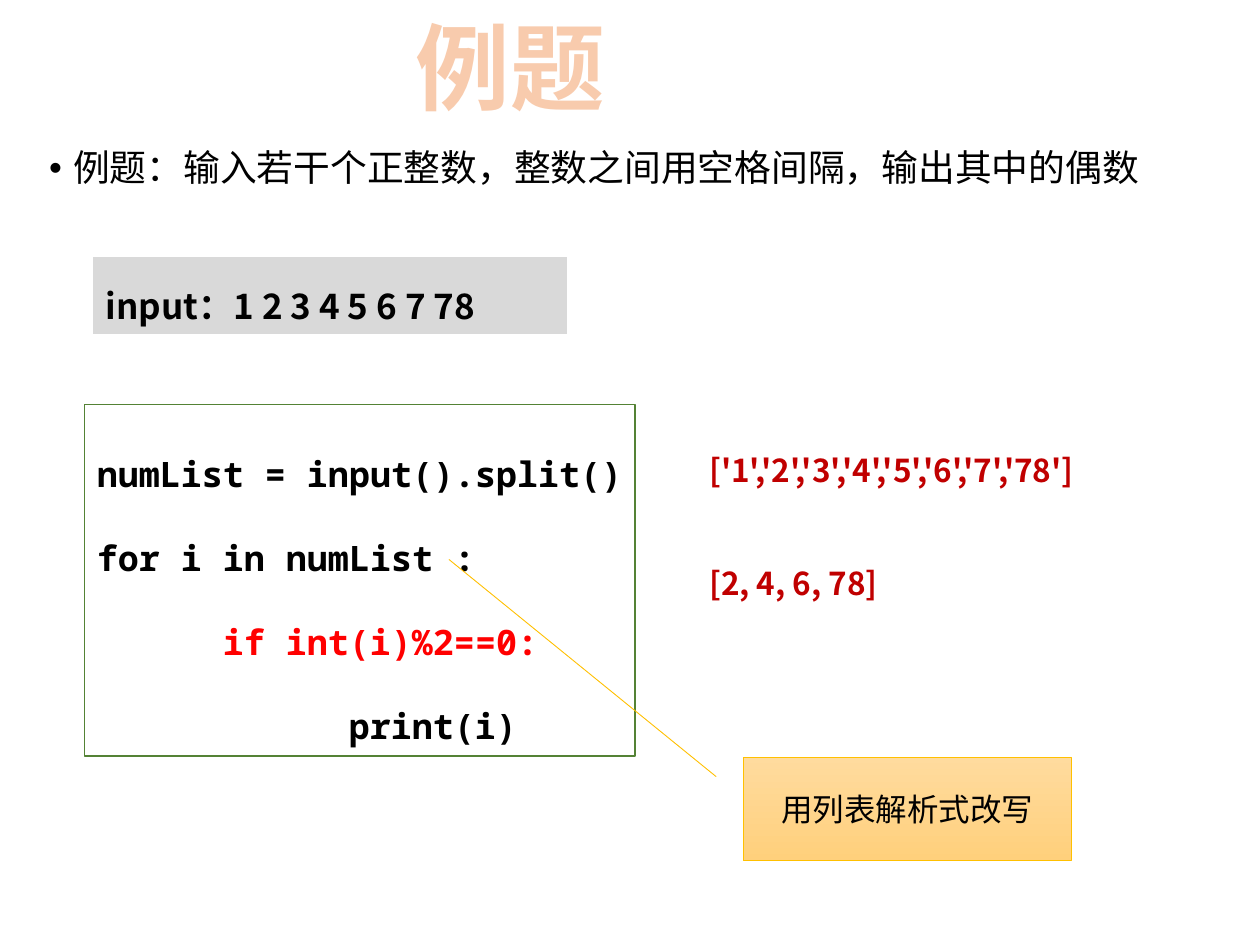
"""Builds a slide with a Python exercise that prints the even numbers of an input line."""
from lxml.etree import SubElement
from pptx import Presentation
from pptx.dml.color import RGBColor
from pptx.enum.shapes import MSO_SHAPE as Shape
from pptx.enum.text import MSO_ANCHOR as Anchor, MSO_AUTO_SIZE as Fit, PP_ALIGN as Align
from pptx.oxml.ns import qn
from pptx.util import Inches, Pt

SANS, MONO = "Noto Sans CJK SC", "Noto Sans Mono"
COLORS = {
    "black": "000000", "red": "FF0000", "dark_red": "C00000", "gray": "D9D9D9",
    "green": "548235", "gold": "FFC000", "peach": "F8CBAD", "orange": "ED7D31",
    "callout_top": "FFDB9E", "callout_bottom": "FFD07C",
}

HEADING = "例题"
TASK = "例题：输入若干个正整数，整数之间用空格间隔，输出其中的偶数"
SAMPLE = "input：1 2 3 4 5 6 7 78"
CODE = [
    (0, "numList = input().split()", "black"),
    (0, "for i in numList :", "black"),
    (1, "if int(i)%2==0:", "red"),
    (2, "print(i)", "black"),
]
RESULTS = ["['1','2','3','4','5','6','7','78']", "[2, 4, 6, 78]"]
HINT = "用列表解析式改写"

PLACES = {
    "heading": (3.19, 0.02, 1.72, 1.01),
    "task": (0.29, 1.14, 9.25, 0.5),
    "sample": (0.74, 2.04, 3.76, 0.61),
    "code": (0.67, 3.21, 4.37, 2.79),
    "results": (5.53, 3.38, 4, 1.46),
    "hint": (5.9, 6.01, 2.6, 0.82),
}
HINT_POINTER = (0.188, -0.083, -1.915, -0.899)
FRAME = {"word_wrap": True, "auto_size": Fit.NONE, "vertical_anchor": Anchor.TOP}


def rgb(name):
    return RGBColor.from_string(COLORS[name])


def apply(target, formats):
    for attribute, value in formats.items():
        setattr(target, attribute, value)


def place(part, name):
    sides = map(Inches, PLACES[name])
    apply(part, dict(zip(("left", "top", "width", "height"), sides)))


def box(slide, name, preset=Shape.RECTANGLE, fill=None, line=None, width=0.75):
    part = slide.shapes.add_shape(preset, *map(Inches, PLACES[name]))
    part.shadow.inherit = False
    if fill:
        part.fill.solid()
        part.fill.fore_color.rgb = rgb(fill)
    else:
        part.fill.background()
    if line:
        part.line.color.rgb = rgb(line)
        part.line.width = Pt(width)
    else:
        part.line.fill.background()
    return part


def write(part, lines, size, color="black", font=SANS, bold=False, frame=None, **layout):
    text = part.text_frame
    apply(text, FRAME | (frame or {}))
    text.text = "\n".join(lines)
    for paragraph in text.paragraphs:
        apply(paragraph, {"alignment": Align.LEFT} | layout)
        run = paragraph.runs[0]
        apply(run.font, {"name": font, "size": Pt(size), "bold": bold})
        run.font.color.rgb = rgb(color)
        SubElement(run.font._element, qn("a:ea"), typeface=font)
    return text.paragraphs


def indent(paragraph, margin, first=0):
    properties = paragraph._p.get_or_add_pPr()
    properties.set("marL", str(Inches(margin)))
    properties.set("indent", str(Inches(first)))


def outline(font, color, width):
    line = SubElement(font._element, qn("a:ln"), w=str(Pt(width)))
    font._element.insert(0, line)
    fill = SubElement(line, qn("a:solidFill"))
    SubElement(fill, qn("a:srgbClr"), val=COLORS[color])


def main():
    deck = Presentation()
    apply(deck, {"slide_width": Inches(10), "slide_height": Inches(7.5)})
    slide = deck.slides.add_slide(deck.slide_layouts[1])
    heading, task = slide.placeholders

    place(task, "task")
    bullet, = write(task, [TASK], 21, line_spacing=0.9, space_before=Pt(7.5))
    indent(bullet, 0.19, -0.19)

    code = box(slide, "code", line="green")
    code_lines = write(code, [line for _, line, _ in CODE], 20, font=MONO, bold=True,
                       frame={"margin_right": Inches(0.02)}, line_spacing=2.0)
    for paragraph, (level, _, color) in zip(code_lines, CODE):
        indent(paragraph, level)
        paragraph.runs[0].font.color.rgb = rgb(color)

    results = slide.shapes.add_textbox(*map(Inches, PLACES["results"]))
    result_lines = write(results, RESULTS, 18, "dark_red", bold=True, line_spacing=1.5)
    result_lines[1].space_before = Pt(32)

    sample = box(slide, "sample", fill="gray")
    write(sample, [SAMPLE], 20, bold=True, line_spacing=1.5)

    place(heading, "heading")
    title, = write(heading, [HEADING], 54, "peach", bold=True,
                   frame={"word_wrap": False}, alignment=Align.CENTER)
    outline(title.runs[0].font, "orange", 1.75)

    hint = box(slide, "hint", Shape.LINE_CALLOUT_1, line="gold", width=0.5)
    for index, value in enumerate(HINT_POINTER):
        hint.adjustments[index] = value
    hint.fill.gradient()
    hint.fill.gradient_angle = 270
    for stop, color in zip(hint.fill.gradient_stops, ("callout_top", "callout_bottom")):
        stop.color.rgb = rgb(color)
    write(hint, [HINT], 18, frame={"vertical_anchor": Anchor.MIDDLE}, alignment=Align.CENTER)

    deck.save("out.pptx")


if __name__ == "__main__":
    main()
